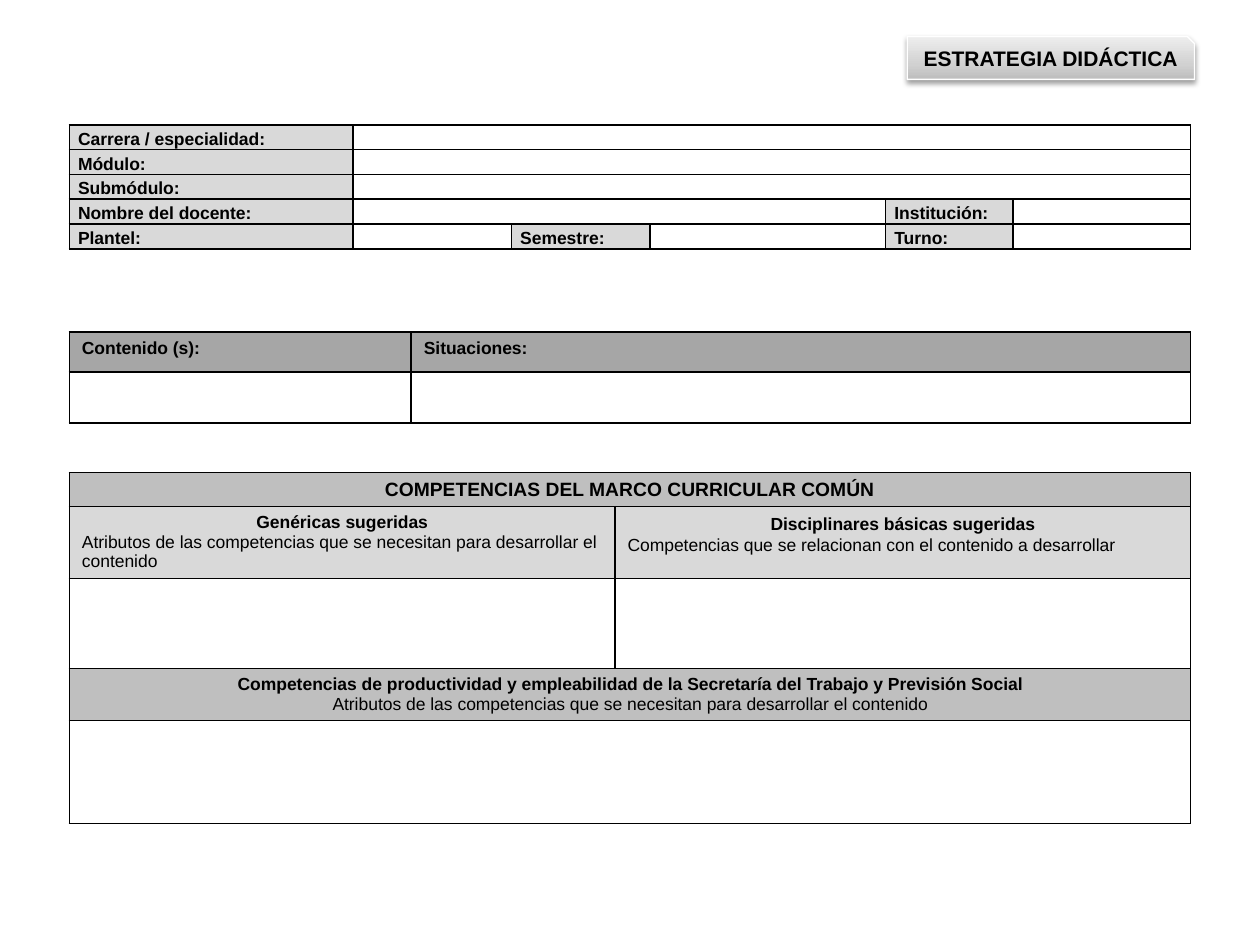
from copy import deepcopy

from lxml import etree
from pptx import Presentation
from pptx.dml.color import RGBColor
from pptx.enum.shapes import MSO_SHAPE
from pptx.enum.text import MSO_ANCHOR, PP_ALIGN
from pptx.oxml import parse_xml
from pptx.oxml.ns import nsdecls, qn
from pptx.util import Pt

BLACK = RGBColor(0x00, 0x00, 0x00)
WHITE = RGBColor(0xFF, 0xFF, 0xFF)
LABEL_GRAY = RGBColor(0xD9, 0xD9, 0xD9)
SECTION_GRAY = RGBColor(0xBF, 0xBF, 0xBF)
HEADER_GRAY = RGBColor(0xA6, 0xA6, 0xA6)
BADGE_STOPS = ((0, RGBColor(0xBD, 0xBD, 0xBD)),
               (0.35, RGBColor(0xD1, 0xD1, 0xD1)),
               (1, RGBColor(0xEE, 0xEE, 0xEE)))

LEFT, CENTER = PP_ALIGN.LEFT, PP_ALIGN.CENTER
TOP, MIDDLE = MSO_ANCHOR.TOP, MSO_ANCHOR.MIDDLE
SNIPPED_RECTANGLE = MSO_SHAPE.SNIP_1_RECTANGLE

FONT = "Arial"
TITLE_ONLY = 5
TABLE_LEFT = 39.6
BADGE = (518.4, 20.9, 164.2, 24.5)
WIDE_MARGINS = (7.2, 3.6, 7.2, 3.6)
NARROW_MARGINS = (5, 0.7, 5, 0)


def write(paragraph, text, size=10, bold=True, align=LEFT, spacing=None):
    """Put formatted text into a paragraph."""
    paragraph.alignment = align
    if spacing:
        paragraph.line_spacing = spacing
    run = paragraph.add_run()
    run.text = text
    run.font.name = FONT
    run.font.size = Pt(size)
    run.font.bold = bold
    run.font.color.rgb = BLACK


def add_badge(slide):
    """Draw the shaded plate that lies behind the title."""
    badge = slide.shapes.add_shape(SNIPPED_RECTANGLE, *map(Pt, BADGE))
    badge.line.color.rgb = WHITE
    badge.line.width = Pt(0.75)
    badge.fill.gradient()
    badge.fill.gradient_angle = 90
    properties = badge._element.spPr
    stop_list = properties.find(qn("a:gradFill")).find(qn("a:gsLst"))
    stop_list.insert(1, deepcopy(stop_list[0]))
    for stop, (position, color) in zip(badge.fill.gradient_stops, BADGE_STOPS):
        stop.position = position
        stop.color.rgb = color
    properties.append(parse_xml(
        f'<a:effectLst {nsdecls("a")}><a:outerShdw blurRad="{Pt(3.1)}" '
        f'dist="{Pt(1.6)}" dir="5400000" rotWithShape="0"><a:srgbClr val="000000">'
        '<a:alpha val="38000"/></a:srgbClr></a:outerShdw></a:effectLst>'))
    return badge


def add_title(slide, text):
    """Place the slide title on its plate."""
    title = slide.shapes.title
    title.left, title.top, title.width, title.height = map(Pt, BADGE)
    frame = title.text_frame
    frame.margin_top = frame.margin_bottom = 0
    frame.vertical_anchor = MIDDLE
    frame.word_wrap = True
    write(frame.paragraphs[0], text, size=12, align=CENTER)
    title._element.addprevious(add_badge(slide)._element)


def add_borders(cell):
    """Give a cell a black line on each side."""
    properties = cell._tc.get_or_add_tcPr()
    for index, side in enumerate("LRTB"):
        properties.insert(index, parse_xml(
            f'<a:ln{side} {nsdecls("a")} w="{Pt(1)}"><a:solidFill>'
            f'<a:srgbClr val="{BLACK}"/></a:solidFill></a:ln{side}>'))


def format_cell(cell, margins, anchor):
    """Set borders, margins and the text size of an empty cell."""
    add_borders(cell)
    cell.fill.background()
    (cell.margin_left, cell.margin_top,
     cell.margin_right, cell.margin_bottom) = map(Pt, margins)
    cell.vertical_anchor = anchor
    paragraph = cell.text_frame.paragraphs[0]._p
    etree.SubElement(paragraph, qn("a:endParaRPr"), sz="1000")


def add_grid(slide, top, columns, rows, spans=(), margins=WIDE_MARGINS, anchor=TOP):
    """Add a ruled table; each span is (row, first column, last column)."""
    table = slide.shapes.add_table(
        len(rows), len(columns), Pt(TABLE_LEFT), Pt(top),
        Pt(sum(columns)), Pt(sum(rows))).table
    table.first_row = table.horz_banding = False
    for column, width in zip(table.columns, columns):
        column.width = Pt(width)
    for row, height in zip(table.rows, rows):
        row.height = Pt(height)
    for cell in table.iter_cells():
        format_cell(cell, margins, anchor)
    for row, first, last in spans:
        table.cell(row, first).merge(table.cell(row, last))
    return table


def fill_cell(cell, color, *lines):
    """Shade a cell and write its lines, each a (text, format) pair."""
    cell.fill.solid()
    cell.fill.fore_color.rgb = color
    frame = cell.text_frame
    for index, (text, text_format) in enumerate(lines):
        paragraph = frame.add_paragraph() if index else frame.paragraphs[0]
        write(paragraph, text, **text_format)


def add_content_table(slide):
    """Add the table of contents and situations."""
    table = add_grid(slide, 189.7, (195.4, 445.4), (23, 29))
    for column, text in enumerate(("Contenido (s):", "Situaciones:")):
        fill_cell(table.cell(0, column), HEADER_GRAY, (text, {}))


def add_competence_table(slide):
    """Add the table of curricular competences."""
    heading = {"align": CENTER}
    plain = {"bold": False}
    exact = {"spacing": Pt(12)}
    table = add_grid(slide, 270, (311.8, 329), (19.4, 41.1, 51.4, 29.7, 58.9),
                     spans=((0, 0, 1), (3, 0, 1), (4, 0, 1)))
    attributes = ("Atributos de las competencias que se necesitan "
                  "para desarrollar el contenido")
    fill_cell(table.cell(0, 0), SECTION_GRAY,
              ("COMPETENCIAS DEL MARCO CURRICULAR COMÚN", heading | {"size": 11}))
    fill_cell(table.cell(1, 0), LABEL_GRAY,
              ("Genéricas sugeridas", heading), (attributes, plain))
    fill_cell(table.cell(1, 1), LABEL_GRAY,
              ("Disciplinares básicas sugeridas", heading | exact),
              ("Competencias que se relacionan con el contenido a desarrollar",
               plain | exact))
    fill_cell(table.cell(3, 0), SECTION_GRAY,
              ("Competencias de productividad y empleabilidad de la Secretaría "
               "del Trabajo y Previsión Social", heading),
              (attributes, heading | plain))
    for row, column in ((2, 0), (2, 1), (4, 0)):
        fill_cell(table.cell(row, column), WHITE)


def add_identification_table(slide):
    """Add the table that identifies course, teacher and school."""
    table = add_grid(slide, 71.3, (162, 90.7, 79.2, 134.6, 72.7, 101.6), (14.2,) * 5,
                     spans=((0, 1, 5), (1, 1, 5), (2, 1, 5), (3, 1, 3)),
                     margins=NARROW_MARGINS, anchor=MIDDLE)
    labels = {(0, 0): "Carrera / especialidad:", (1, 0): "Módulo:",
              (2, 0): "Submódulo:", (3, 0): "Nombre del docente:",
              (3, 4): "Institución:", (4, 0): "Plantel:",
              (4, 2): "Semestre:", (4, 4): "Turno:"}
    for (row, column), text in labels.items():
        fill_cell(table.cell(row, column), LABEL_GRAY, (text, {"spacing": 1.15}))


def main():
    """Build the slide and save it."""
    presentation = Presentation()
    presentation.slide_width, presentation.slide_height = Pt(720), Pt(540)
    slide = presentation.slides.add_slide(presentation.slide_layouts[TITLE_ONLY])
    add_title(slide, "ESTRATEGIA DIDÁCTICA")
    add_content_table(slide)
    add_competence_table(slide)
    add_identification_table(slide)
    presentation.save("out.pptx")


main()
